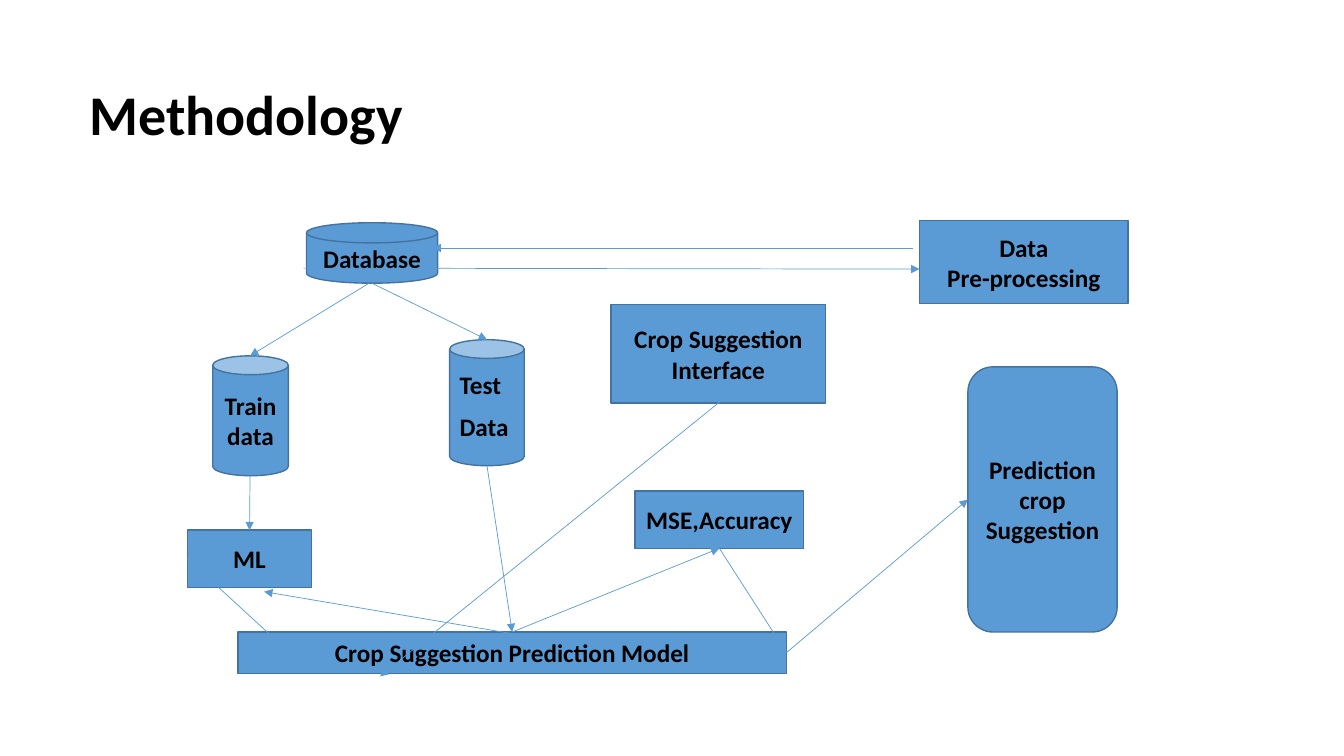
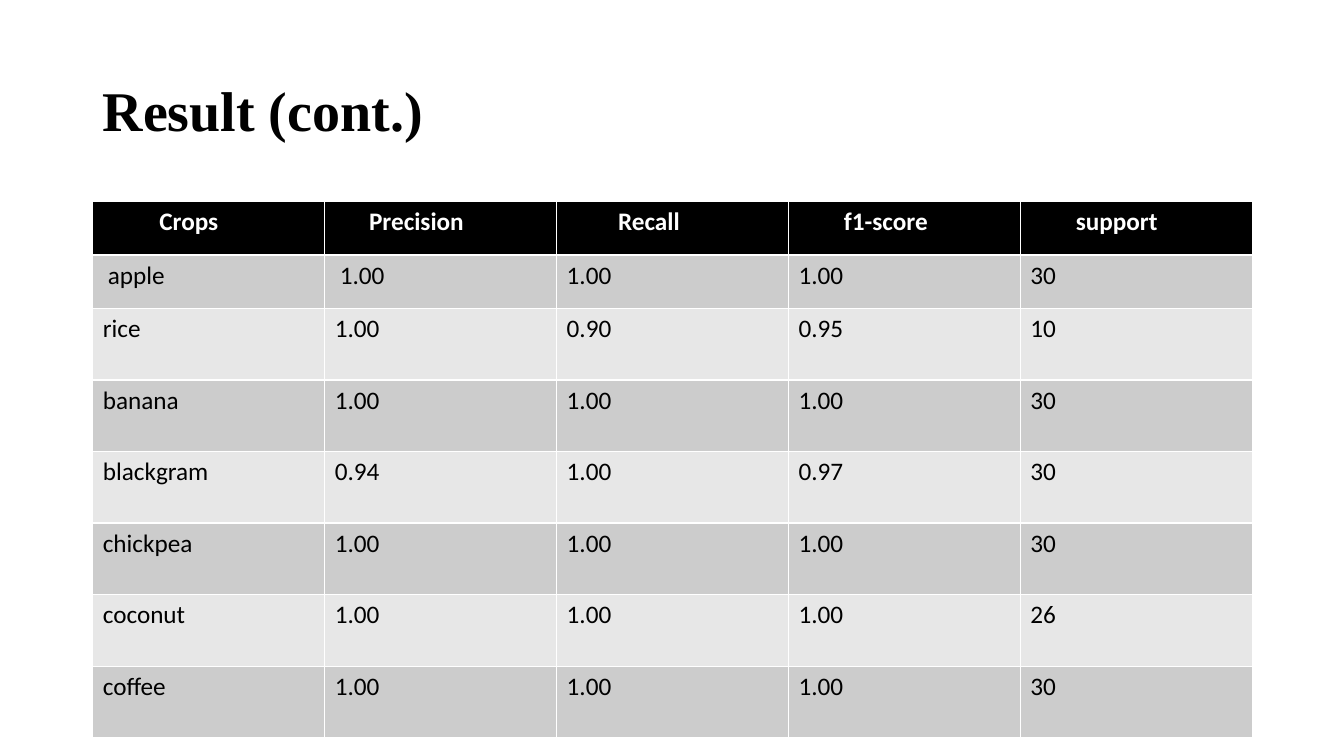
"""Build the methodology diagram and the crop result table."""
from lxml import etree
from pptx import Presentation
from pptx.dml.color import RGBColor
from pptx.enum.shapes import MSO_CONNECTOR, MSO_SHAPE as Preset
from pptx.enum.text import MSO_ANCHOR, PP_ALIGN
from pptx.oxml.ns import qn
from pptx.util import Inches, Pt

BLACK = RGBColor(0x00, 0x00, 0x00)
WHITE = RGBColor(0xFF, 0xFF, 0xFF)
BLUE = RGBColor(0x5B, 0x9B, 0xD5)
DARK_BLUE = RGBColor(0x43, 0x73, 0x9E)
BAND_DARK = RGBColor(0xCC, 0xCC, 0xCC)
BAND_LIGHT = RGBColor(0xE7, 0xE7, 0xE7)
BODY_FONT = "Calibri"
SERIF_FONT = "Times New Roman"
TOP, LEFT, BOTTOM, RIGHT = range(4)

NODES = {
    "database": (Preset.FLOWCHART_MAGNETIC_DISK, (3.04, 2.21, 1.3, 0.6), ["Database"]),
    "train": (Preset.CAN, (2.11, 3.53, 0.75, 1.19), ["Train", "data"]),
    "test": (Preset.CAN, (4.46, 3.37, 0.74, 1.25), ["Test", "Data"]),
    "cleaning": (Preset.RECTANGLE, (9.12, 2.19, 2.07, 0.82), ["Data", "Pre-processing"]),
    "ml": (Preset.RECTANGLE, (1.86, 5.26, 1.23, 0.57), ["ML"]),
    "model": (Preset.RECTANGLE, (2.36, 6.27, 5.44, 0.41), ["Crop Suggestion Prediction Model"]),
    "metrics": (Preset.RECTANGLE, (6.3, 4.87, 1.67, 0.57), ["MSE,Accuracy"]),
    "prediction": (Preset.ROUNDED_RECTANGLE, (9.6, 3.64, 1.48, 2.63), ["Prediction crop", "Suggestion"]),
    "interface": (Preset.RECTANGLE, (6.06, 3.02, 2.13, 0.98), ["Crop Suggestion", "Interface"]),
}
ARROWS = [
    ((3.66, 2.81), (2.48, 3.53)),
    ((3.69, 2.81), (4.83, 3.37)),
    ((9.06, 2.46), (4.29, 2.46)),
    ((3.01, 2.66), (9.12, 2.67)),
    ((2.48, 4.72), ("ml", TOP)),
    ((4.83, 4.62), ("model", TOP)),
    (("ml", LEFT), (3.02, 6.61)),
    ((5.22, 6.31), (2.62, 5.87)),
    (("metrics", BOTTOM), ("model", RIGHT)),
    (("model", TOP), ("metrics", BOTTOM)),
    (("model", RIGHT), ("prediction", LEFT)),
    ((7.16, 3.97), (3.77, 6.71)),
]

HEADERS = [("Crops", 0.66), ("Precision", 0.44), ("Recall", 0.61), ("f1-score", 0.55), ("support", 0.55)]
RESULTS = [
    ("apple", "1.00", "1.00", "1.00", "30"),
    ("rice", "1.00", "0.90", "0.95", "10"),
    ("banana", "1.00", "1.00", "1.00", "30"),
    ("blackgram", "0.94", "1.00", "0.97", "30"),
    ("chickpea", "1.00", "1.00", "1.00", "30"),
    ("coconut", "1.00", "1.00", "1.00", "26"),
    ("coffee", "1.00", "1.00", "1.00", "30"),
]
COLUMN_WIDTH = 2.3
SHORT_ROW, TALL_ROW = 0.53, 0.71


def add_run(paragraph, text, size=18, color=BLACK, bold=True, font=BODY_FONT):
    run = paragraph.add_run()
    run.text = text
    run.font.name = font
    run.font.size = Pt(size)
    run.font.bold = bold
    run.font.color.rgb = color


def add_title(slide, text, left, top, font):
    frame = slide.shapes.add_textbox(Inches(left), Inches(top), Inches(11.5), Inches(1.45)).text_frame
    frame.word_wrap = True
    frame.vertical_anchor = MSO_ANCHOR.MIDDLE
    paragraph = frame.paragraphs[0]
    paragraph.line_spacing = 0.9
    add_run(paragraph, text, size=40, font=font)


def add_node(slide, preset, box, lines):
    shape = slide.shapes.add_shape(preset, *map(Inches, box))
    shape.shadow.inherit = False
    shape.fill.solid()
    shape.fill.fore_color.rgb = BLUE
    shape.line.color.rgb = DARK_BLUE
    shape.line.width = Pt(1)
    frame = shape.text_frame
    frame.word_wrap = True
    frame.vertical_anchor = MSO_ANCHOR.MIDDLE
    for index, line in enumerate(lines):
        paragraph = frame.add_paragraph() if index else frame.paragraphs[0]
        paragraph.alignment = PP_ALIGN.CENTER
        add_run(paragraph, line)
    return shape


def add_arrow(slide, nodes, start, end):
    connector = slide.shapes.add_connector(MSO_CONNECTOR.STRAIGHT, 0, 0, 0, 0)
    if start[0] in nodes:
        connector.begin_connect(nodes[start[0]], start[1])
    else:
        connector.begin_x, connector.begin_y = map(Inches, start)
    if end[0] in nodes:
        connector.end_connect(nodes[end[0]], end[1])
    else:
        connector.end_x, connector.end_y = map(Inches, end)
    connector.line.color.rgb = BLUE
    connector.line.width = Pt(0.5)
    properties = connector.line._get_or_add_ln()
    etree.SubElement(properties, qn("a:tailEnd"), type="triangle")
    etree.SubElement(properties.getparent(), qn("a:effectLst"))


def fill_cell(cell, text, fill, color=BLACK, bold=False, indent=0.1):
    cell.fill.solid()
    cell.fill.fore_color.rgb = fill
    cell.margin_left = Inches(indent)
    add_run(cell.text_frame.paragraphs[0], text, color=color, bold=bold)


def add_result_table(slide, left, top):
    heights = [SHORT_ROW] * 2 + [TALL_ROW] * (len(RESULTS) - 1)
    table = slide.shapes.add_table(
        len(heights), len(HEADERS), Inches(left), Inches(top),
        Inches(COLUMN_WIDTH * len(HEADERS)), Inches(sum(heights)),
    ).table
    for row, height in zip(table.rows, heights):
        row.height = Inches(height)
    for column, (header, indent) in enumerate(HEADERS):
        table.columns[column].width = Inches(COLUMN_WIDTH)
        fill_cell(table.cell(0, column), header, BLACK, WHITE, True, indent)
    for row, values in enumerate(RESULTS, start=1):
        fill = BAND_DARK if row % 2 else BAND_LIGHT
        for column, value in enumerate(values):
            indent = 0.15 if row == 1 and column < 2 else 0.1
            fill_cell(table.cell(row, column), value, fill, indent=indent)


def build_methodology(slide):
    add_title(slide, "Methodology", 0.79, 0.44, BODY_FONT)
    nodes = {name: add_node(slide, *node) for name, node in NODES.items()}
    for paragraph in nodes["test"].text_frame.paragraphs:
        paragraph.alignment = PP_ALIGN.LEFT
        paragraph.line_spacing = 0.9
        paragraph.space_before = Pt(10)
    for start, end in ARROWS:
        add_arrow(slide, nodes, start, end)


def build_results(slide):
    add_title(slide, "Result (cont.)", 0.92, 0.4, SERIF_FONT)
    add_result_table(slide, 0.92, 2)


def main():
    presentation = Presentation()
    presentation.slide_width = Inches(13.33)
    presentation.slide_height = Inches(7.5)
    blank = presentation.slide_layouts[6]
    for build in (build_methodology, build_results):
        build(presentation.slides.add_slide(blank))
    presentation.save("out.pptx")


if __name__ == "__main__":
    main()
